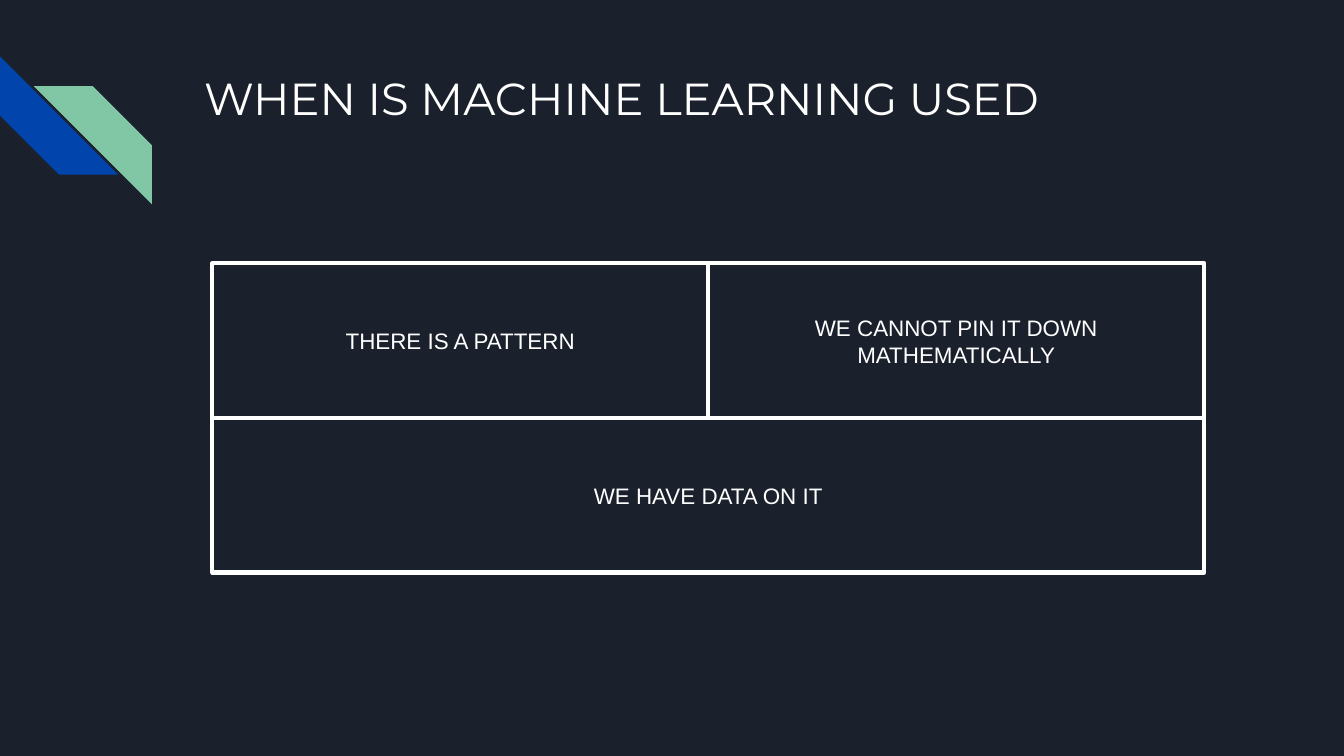
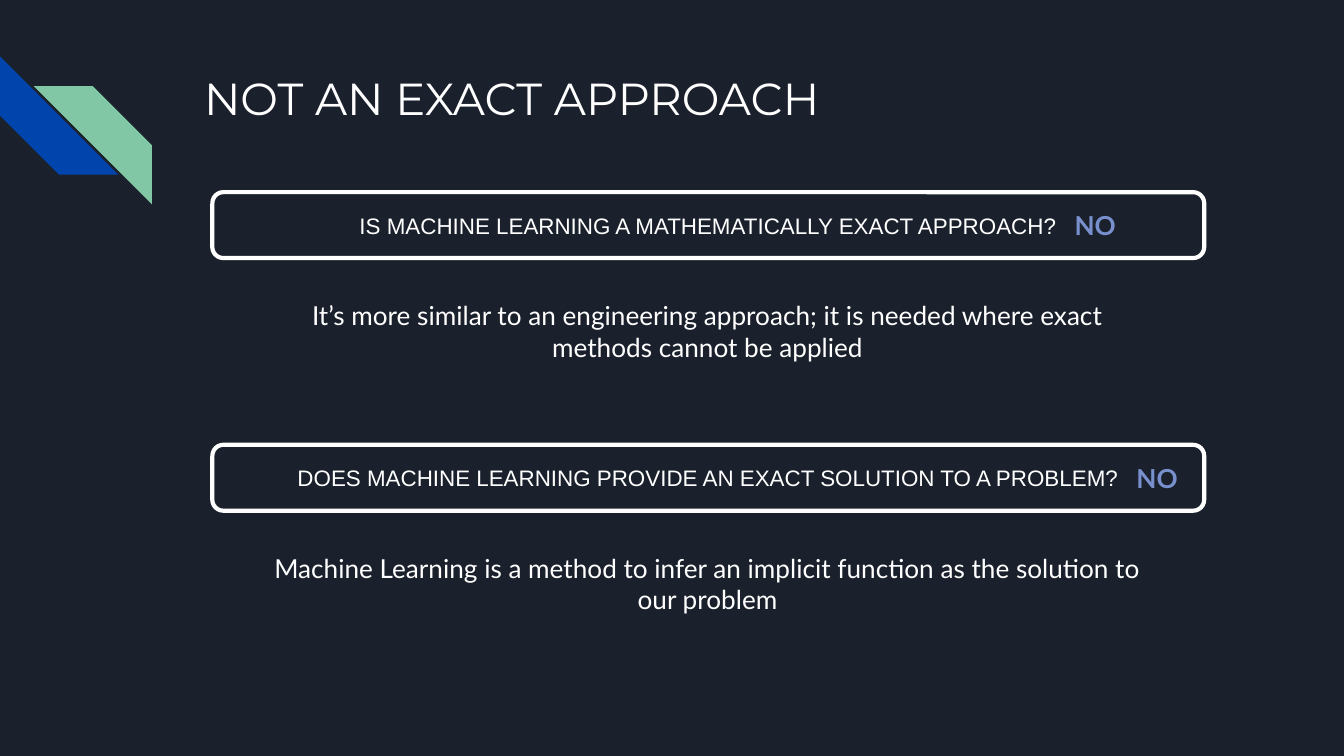
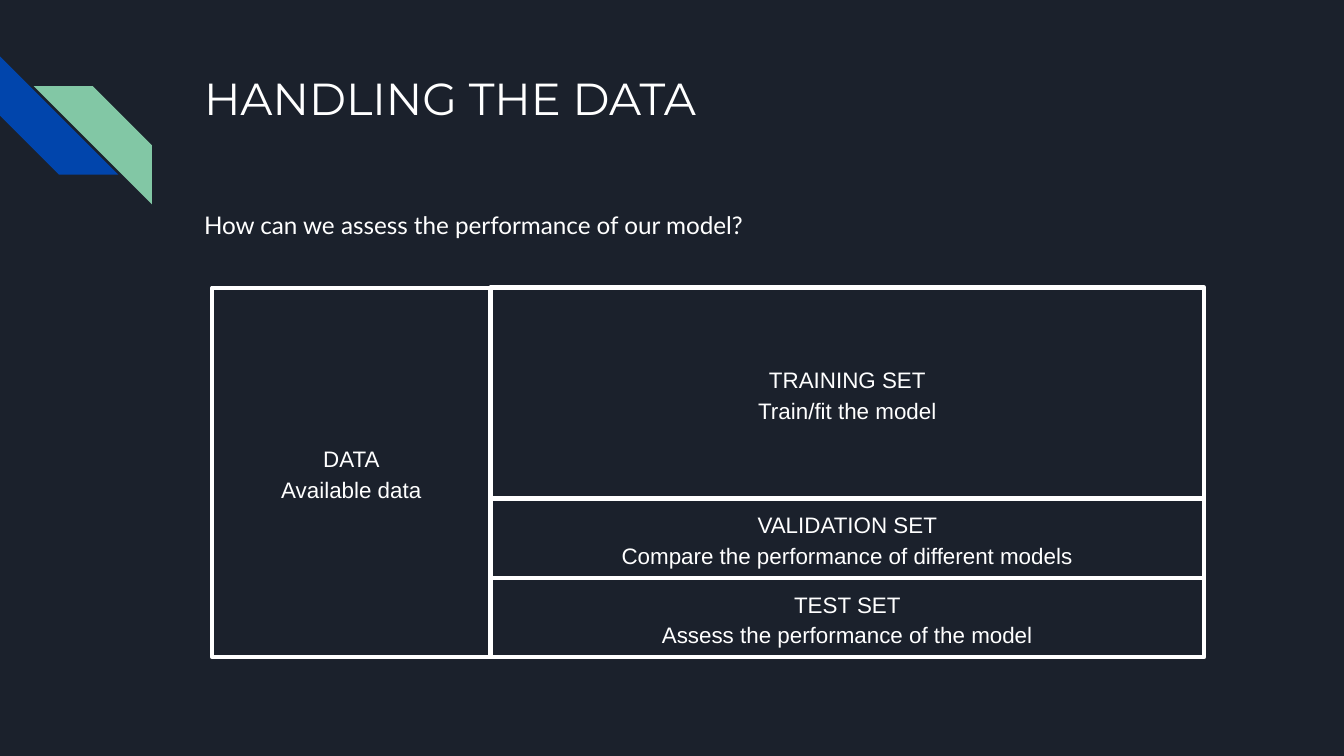
import pptx
import pptx.util
import pptx.dml.color
import pptx.enum.shapes
import pptx.enum.text

Inches, Pt = pptx.util.Inches, pptx.util.Pt
RGBColor = pptx.dml.color.RGBColor
MSO_SHAPE = pptx.enum.shapes.MSO_SHAPE
PP_ALIGN = pptx.enum.text.PP_ALIGN
MSO_ANCHOR = pptx.enum.text.MSO_ANCHOR

# Content
USAGE_TITLE = "WHEN IS MACHINE LEARNING USED"
CONDITIONS = ["THERE IS A PATTERN", "WE CANNOT PIN IT DOWN MATHEMATICALLY"]
DATA_CONDITION = "WE HAVE DATA ON IT"

EXACT_TITLE = "NOT AN EXACT APPROACH"
ANSWER = "NO"
QUESTIONS = [  # question, explanation, left edge of the answer
    ("IS MACHINE LEARNING A MATHEMATICALLY EXACT APPROACH?",
     "It’s more similar to an engineering approach; it is needed where exact "
     "methods cannot be applied", 7.88),
    ("DOES MACHINE LEARNING PROVIDE AN EXACT SOLUTION TO A PROBLEM?",
     "Machine Learning is a method to infer an implicit function as the "
     "solution to our problem", 8.34),
]

DATA_TITLE = "HANDLING THE DATA"
DATA_QUESTION = "How can we assess the performance of our model?"
AVAILABLE = ["DATA", "Available data"]
DATA_SETS = [  # lines, height
    (["TRAINING SET", "Train/fit the model"], 1.57),
    (["VALIDATION SET", "Compare the performance of different models"], 0.59),
    (["TEST SET", "Assess the performance of the model"], 0.59),
]

# Shared style
NAVY = RGBColor(0x1B, 0x21, 0x2C)
BLUE = RGBColor(0x01, 0x45, 0xAC)
GREEN = RGBColor(0x82, 0xC7, 0xA5)
WHITE = RGBColor(0xFF, 0xFF, 0xFF)
PERIWINKLE = RGBColor(0x78, 0x90, 0xCD)

TEXT_LEFT, TEXT_WIDTH = 1.42, 7.7
BOX_LEFT, BOX_WIDTH = 1.58, 7.38
STRIPE = 0.88
STRIPES = [(0, 0.42, 270, BLUE), (0.25, 0.64, 90, GREEN)]  # left, top, turn, fill


def write(shape, lines, font, size, color=WHITE, bold=False,
          align=PP_ALIGN.CENTER, anchor=MSO_ANCHOR.TOP, spacing=None):
    tf = shape.text_frame
    tf.word_wrap = True
    tf.vertical_anchor = anchor
    tf.margin_left = tf.margin_right = Inches(0.1)
    tf.margin_top = tf.margin_bottom = Inches(0.1)
    for i, line in enumerate(lines):
        p = tf.add_paragraph() if i else tf.paragraphs[0]
        p.text = line
        p.alignment = align
        p.line_spacing = spacing
        p.font.name, p.font.size = font, Pt(size)
        p.font.bold, p.font.color.rgb = bold, color


def add_text(s, left, top, width, height, text, font, size, **style):
    box = s.shapes.add_textbox(*map(Inches, (left, top, width, height)))
    write(box, [text], font, size, **style)


def add_box(s, left, top, width, height, lines, kind=MSO_SHAPE.RECTANGLE, spacing=None):
    sp = s.shapes.add_shape(kind, *map(Inches, (left, top, width, height)))
    sp.shadow.inherit = False
    sp.fill.background()
    sp.line.color.rgb = WHITE
    sp.line.width = Pt(2.25)
    write(sp, lines, "Arial", 12, anchor=MSO_ANCHOR.MIDDLE, spacing=spacing)


def add_slide(prs, title):
    s = prs.slides.add_slide(prs.slide_layouts[6])
    for left, top, turn, color in STRIPES:
        sp = s.shapes.add_shape(MSO_SHAPE.DIAGONAL_STRIPE, Inches(left), Inches(top),
                                Inches(STRIPE), Inches(STRIPE))
        sp.rotation = turn
        sp.shadow.inherit = False
        sp.fill.solid()
        sp.fill.fore_color.rgb = color
        sp.line.fill.background()
    add_text(s, TEXT_LEFT, 0.43, TEXT_WIDTH, 1, title, "Montserrat", 24,
             align=PP_ALIGN.LEFT)
    return s


def build_usage(prs):
    s = add_slide(prs, USAGE_TITLE)
    top, height = 1.96, 1.15
    width = BOX_WIDTH / len(CONDITIONS)
    for i, condition in enumerate(CONDITIONS):
        add_box(s, BOX_LEFT + i * width, top, width, height, [condition])
    add_box(s, BOX_LEFT, top + height, BOX_WIDTH, height, [DATA_CONDITION])


def build_exactness(prs):
    s = add_slide(prs, EXACT_TITLE)
    for i, (question, explanation, answer_left) in enumerate(QUESTIONS):
        top = 1.43 + i * 1.88
        add_box(s, BOX_LEFT, top, BOX_WIDTH, 0.49, [question], MSO_SHAPE.ROUNDED_RECTANGLE)
        add_text(s, 1.85, top + 0.7, 6.83, 0.67, explanation, "Lato", 14)
        add_text(s, answer_left, top + 0.03, 0.54, 0.44, ANSWER, "Lato", 14,
                 color=PERIWINKLE, bold=True)


def build_data(prs):
    s = add_slide(prs, DATA_TITLE)
    add_text(s, TEXT_LEFT, 1.43, TEXT_WIDTH, 3.47, DATA_QUESTION, "Lato", 13,
             align=PP_ALIGN.LEFT, spacing=1.15)
    top, data_width = 2.14, 2.07
    set_top = top
    for lines, height in DATA_SETS:
        add_box(s, BOX_LEFT + data_width, set_top, BOX_WIDTH - data_width, height,
                lines, spacing=1.15)
        set_top += height
    add_box(s, BOX_LEFT, top, data_width, set_top - top, AVAILABLE, spacing=1.15)


def main():
    prs = pptx.Presentation()
    prs.slide_width = Inches(10)
    prs.slide_height = Inches(10 * 9 / 16)
    background = prs.slide_master.background.fill
    background.solid()
    background.fore_color.rgb = NAVY
    build_usage(prs)
    build_exactness(prs)
    build_data(prs)
    prs.save("out.pptx")


if __name__ == "__main__":
    main()
